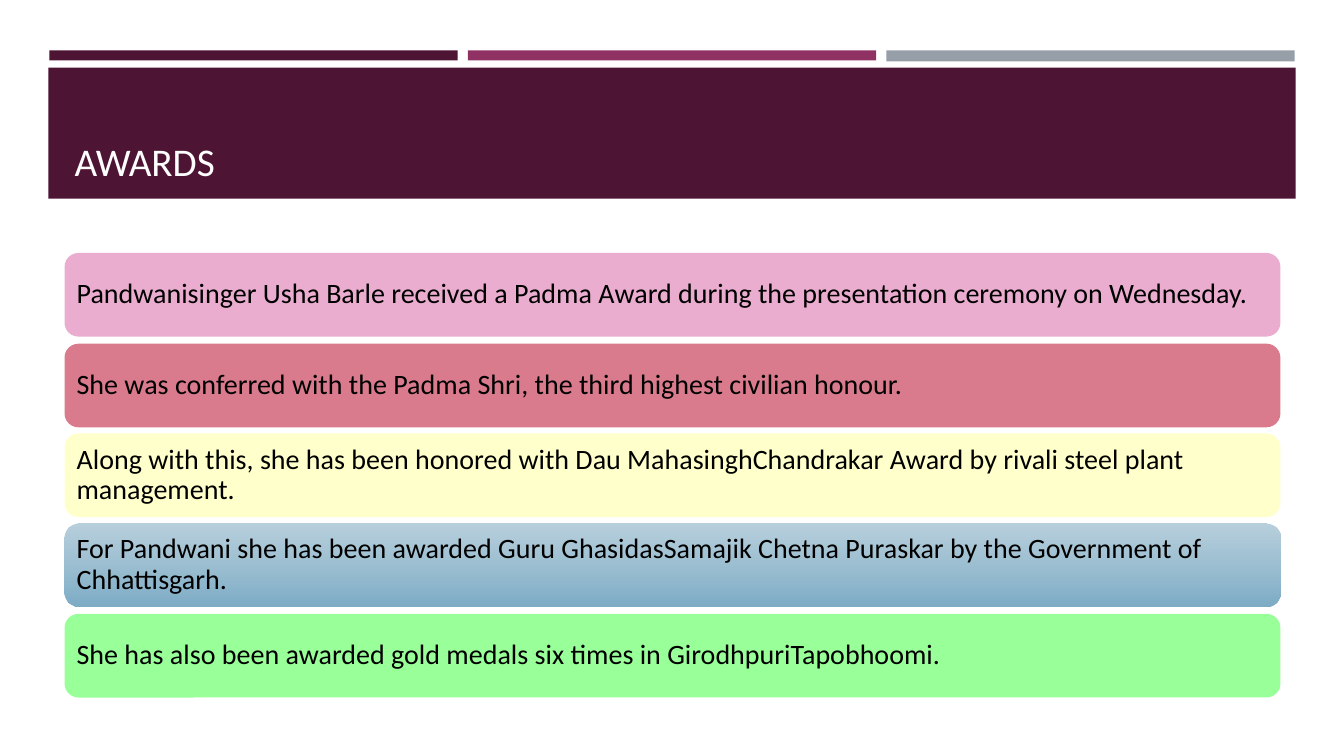
"""Build the Awards slide: a banner title above five coloured award cards."""
from dataclasses import dataclass

import lxml.etree
import pptx
import pptx.dml.color
import pptx.enum.shapes
import pptx.enum.text
import pptx.oxml.ns
import pptx.util

EMU_PER_PX = 9144
FONT = "Calibri"
COLORS = {
    "plum": "4D1434",
    "berry": "903163",
    "slate": "969FA7",
    "pink": "EAADCF",
    "rose": "DA7B8D",
    "cream": "FFFFCC",
    "sky": "B0CAD9",
    "steel": "7EADC6",
    "mint": "99FF99",
    "white": "FFFFFF",
    "black": "000000",
}
RECT = pptx.enum.shapes.MSO_SHAPE.RECTANGLE
ROUNDED = pptx.enum.shapes.MSO_SHAPE.ROUNDED_RECTANGLE

LEFT, WIDTH = 64, 1206
CARD_TOP, CARD_HEIGHT, CARDS_BOTTOM = 251, 83, 692
CARD_INSET = 8


@dataclass(frozen=True)
class Block:
    left: int
    top: int
    width: int
    height: int
    color: str


@dataclass(frozen=True)
class Award:
    text: str
    color: str
    end_color: str = ""


BLOCKS = [
    Block(49, 50, 405, 10, "plum"),
    Block(464, 50, 405, 10, "berry"),
    Block(879, 50, 405, 11, "slate"),
    Block(48, 67, 1237, 130, "plum"),
]
AWARDS = [
    Award("Pandwanisinger Usha Barle received a Padma Award during the "
          "presentation ceremony on Wednesday.", "pink"),
    Award("She was conferred with the Padma Shri, the third highest civilian honour.", "rose"),
    Award("Along with this, she has been honored with Dau MahasinghChandrakar "
          "Award by rivali steel plant management.", "cream"),
    Award("For Pandwani she has been awarded Guru GhasidasSamajik Chetna Puraskar "
          "by the Government of Chhattisgarh.", "sky", "steel"),
    Award("She has also been awarded gold medals six times in GirodhpuriTapobhoomi.", "mint"),
]


def px(n: int) -> pptx.util.Emu:
    return pptx.util.Emu(n * EMU_PER_PX)


def rgb(name: str) -> pptx.dml.color.RGBColor:
    return pptx.dml.color.RGBColor.from_string(COLORS[name])


def add_block(slide, block: Block, kind=RECT):
    sp = slide.shapes.add_shape(
        kind, px(block.left), px(block.top), px(block.width), px(block.height))
    sp.shadow.inherit = False
    sp.line.fill.background()
    sp.fill.solid()
    sp.fill.fore_color.rgb = rgb(block.color)
    return sp


def set_gradient(sp, start: str, end: str) -> None:
    sp.fill.gradient()
    sp.fill.gradient_angle = 270
    for stop, name, position in zip(sp.fill.gradient_stops, (start, end), (0, 1)):
        stop.color.rgb = rgb(name)
        stop.position = position
    qn = pptx.oxml.ns.qn
    first = next(sp.fill._xPr.iter(qn("a:srgbClr")))
    lxml.etree.SubElement(first, qn("a:alpha"), val="90000")


def add_run(p, text: str, size: int, color: str) -> None:
    r = p.add_run()
    r.text = text
    r.font.name = FONT
    r.font.size = pptx.util.Pt(size)
    r.font.color.rgb = rgb(color)


def add_title(slide, text: str) -> None:
    sp = slide.shapes.title
    sp.left, sp.top, sp.width, sp.height = px(LEFT), px(77), px(WIDTH), px(111)
    tf = sp.text_frame
    tf.auto_size = pptx.enum.text.MSO_AUTO_SIZE.NONE
    tf.vertical_anchor = pptx.enum.text.MSO_ANCHOR.BOTTOM
    p = tf.paragraphs[0]
    p.alignment = pptx.enum.text.PP_ALIGN.LEFT
    add_run(p, text, 28, "white")


def add_card(slide, award: Award, top: int) -> None:
    sp = add_block(slide, Block(LEFT, top, WIDTH, CARD_HEIGHT, award.color), ROUNDED)
    if award.end_color:
        set_gradient(sp, award.color, award.end_color)
    tf = sp.text_frame
    tf.word_wrap = True
    tf.vertical_anchor = pptx.enum.text.MSO_ANCHOR.MIDDLE
    tf.margin_left = tf.margin_right = px(CARD_INSET)
    tf.margin_top = tf.margin_bottom = 0
    p = tf.paragraphs[0]
    p.alignment = pptx.enum.text.PP_ALIGN.LEFT
    p.line_spacing = 0.9
    add_run(p, award.text, 20, "black")


def main() -> None:
    prs = pptx.Presentation()
    prs.slide_width, prs.slide_height = px(1333), px(750)
    slide = prs.slides.add_slide(prs.slide_layouts.get_by_name("Title Only"))
    for block in BLOCKS:
        add_block(slide, block)
    title = slide.shapes.title._element
    title.getparent().append(title)
    add_title(slide, "AWARDS")
    pitch = (CARDS_BOTTOM - CARD_TOP - CARD_HEIGHT) / (len(AWARDS) - 1)
    for i, award in enumerate(AWARDS):
        add_card(slide, award, CARD_TOP + round(i * pitch))
    prs.save("out.pptx")


if __name__ == "__main__":
    main()
